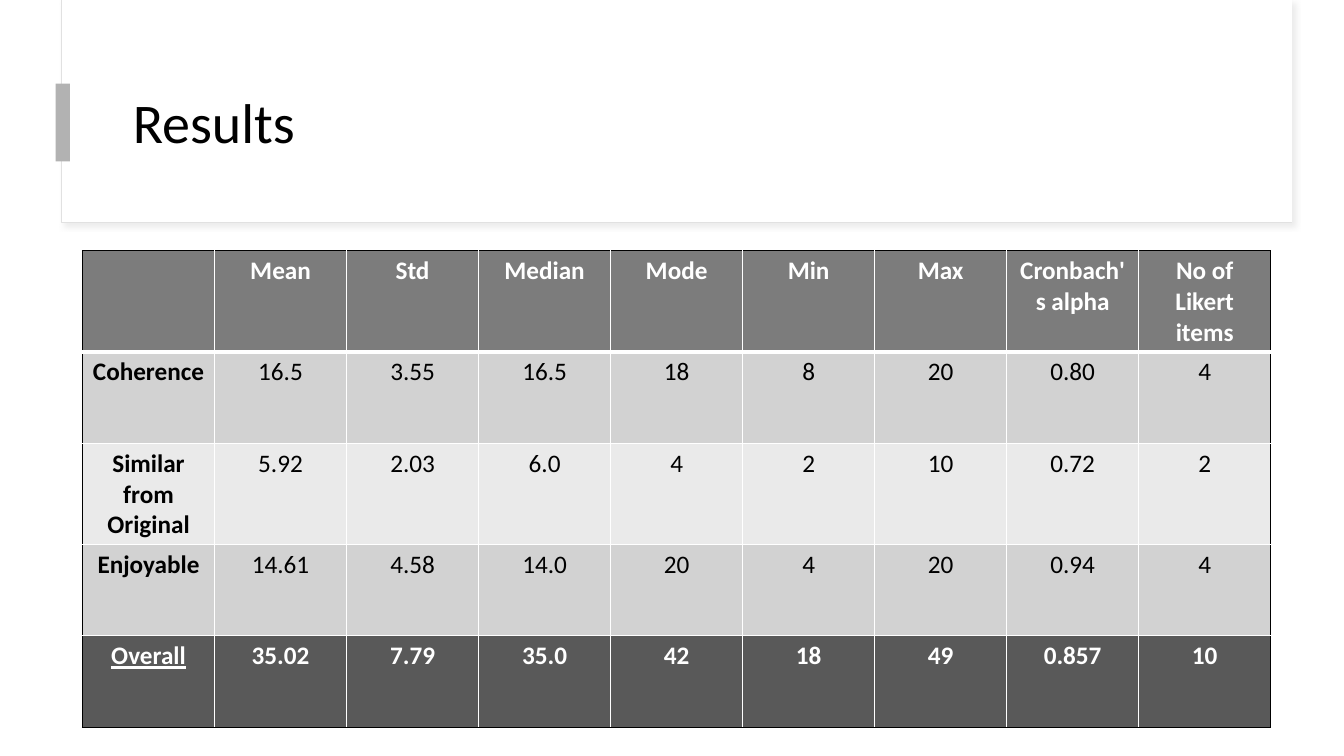
from lxml.etree import SubElement
from pptx import Presentation
from pptx.dml.color import RGBColor
from pptx.enum.shapes import MSO_SHAPE
from pptx.enum.text import MSO_ANCHOR, PP_ALIGN
from pptx.oxml.ns import qn
from pptx.util import Cm, Pt

FONT = "Calibri"
COLORS = {
    "white": "FFFFFF",
    "black": "000000",
    "card_edge": "E1E1E1",
    "card_shadow": "D9D9D9",
    "marker": "B2B2B2",
    "header": "7C7C7C",
    "band_dark": "D2D2D2",
    "band_light": "EAEAEA",
    "total": "595959",
}
RESULTS = [
    ["", "Mean", "Std", "Median", "Mode", "Min", "Max", "Cronbach's alpha", "No of Likert items"],
    ["Coherence", "16.5", "3.55", "16.5", "18", "8", "20", "0.80", "4"],
    ["Similar from Original", "5.92", "2.03", "6.0", "4", "2", "10", "0.72", "2"],
    ["Enjoyable", "14.61", "4.58", "14.0", "20", "4", "20", "0.94", "4"],
    ["Overall", "35.02", "7.79", "35.0", "42", "18", "49", "0.857", "10"],
]
ROW_FILLS = ["header", "band_dark", "band_light", "band_dark", "total"]


def rgb(name):
    return RGBColor.from_string(COLORS[name])


def style_font(font, size, color, bold=False):
    font.name = FONT
    font.size = Pt(size)
    font.bold = bold
    font.color.rgb = rgb(color)


def add_block(slide, left, top, width, height, fill, edge=None):
    block = slide.shapes.add_shape(
        MSO_SHAPE.RECTANGLE, Cm(left), Cm(top), Cm(width), Cm(height))
    block.shadow.inherit = False
    block.fill.solid()
    block.fill.fore_color.rgb = rgb(fill)
    if edge:
        block.line.color.rgb = rgb(edge)
        block.line.width = Pt(0.75)
    else:
        block.line.fill.background()
    return block


def add_soft_shadow(block, color):
    effects = block.element.spPr.find(qn("a:effectLst"))
    shadow = SubElement(effects, qn("a:outerShdw"), blurRad=str(Pt(4)),
                        dist=str(Pt(3)), dir=str(45 * 60000), rotWithShape="0")
    shade = SubElement(shadow, qn("a:srgbClr"), val=COLORS[color])
    SubElement(shade, qn("a:alpha"), val="50000")


def add_title(slide, text):
    title = slide.shapes.add_textbox(Cm(3.1), Cm(1.52), Cm(28.24), Cm(3.28))
    frame = title.text_frame
    frame.word_wrap = True
    frame.vertical_anchor = MSO_ANCHOR.MIDDLE
    frame.text = text
    heading = frame.paragraphs[0]
    heading.line_spacing = 0.9
    style_font(heading.runs[0].font, 40, "black")


def set_border(cell, side, color, width):
    border = SubElement(cell._tc.get_or_add_tcPr(), qn(f"a:ln{side}"), w=str(Pt(width)))
    fill = SubElement(border, qn("a:solidFill"))
    SubElement(fill, qn("a:srgbClr"), val=COLORS[color])


def set_borders(cell, row, column, last_row, last_column):
    """Black round the outside, white inside, with a heavy rule at the header."""
    outer = {"L": column == 0, "R": column == last_column,
             "T": row == 0, "B": row == last_row}
    heavy = {0: "B", 1: "T"}.get(row)
    for side, is_outer in outer.items():
        set_border(cell, side, "black" if is_outer else "white", 3 if side == heavy else 1)


def add_results_table(slide):
    last_row, last_column = len(RESULTS) - 1, len(RESULTS[0]) - 1
    table = slide.shapes.add_table(
        last_row + 1, last_column + 1, Cm(2.08), Cm(6.32), Cm(29.95), Cm(11.55)).table
    for row, (values, fill) in enumerate(zip(RESULTS, ROW_FILLS)):
        is_accent = row in (0, last_row)
        for column, value in enumerate(values):
            cell = table.cell(row, column)
            set_borders(cell, row, column, last_row, last_column)
            cell.fill.solid()
            cell.fill.fore_color.rgb = rgb(fill)
            cell.text_frame.text = value
            paragraph = cell.text_frame.paragraphs[0]
            paragraph.alignment = PP_ALIGN.CENTER
            for run in paragraph.runs:
                style_font(run.font, 18, "white" if is_accent else "black",
                           bold=is_accent or column == 0)
    table.cell(last_row, 0).text_frame.paragraphs[0].runs[0].font.underline = True


def main():
    presentation = Presentation()
    presentation.slide_width = Cm(33.87)
    presentation.slide_height = Cm(19.05)
    slide = presentation.slides.add_slide(presentation.slide_layouts[6])

    title_card = add_block(slide, 1.55, 0, 31.01, 5.61, "white", edge="card_edge")
    add_soft_shadow(title_card, "card_shadow")
    add_block(slide, 1.57, 0, 30.99, 5.59, "white")
    add_title(slide, "Results")
    add_block(slide, 1.4, 2.11, 0.36, 1.96, "marker")
    add_results_table(slide)

    presentation.save("out.pptx")


if __name__ == "__main__":
    main()
